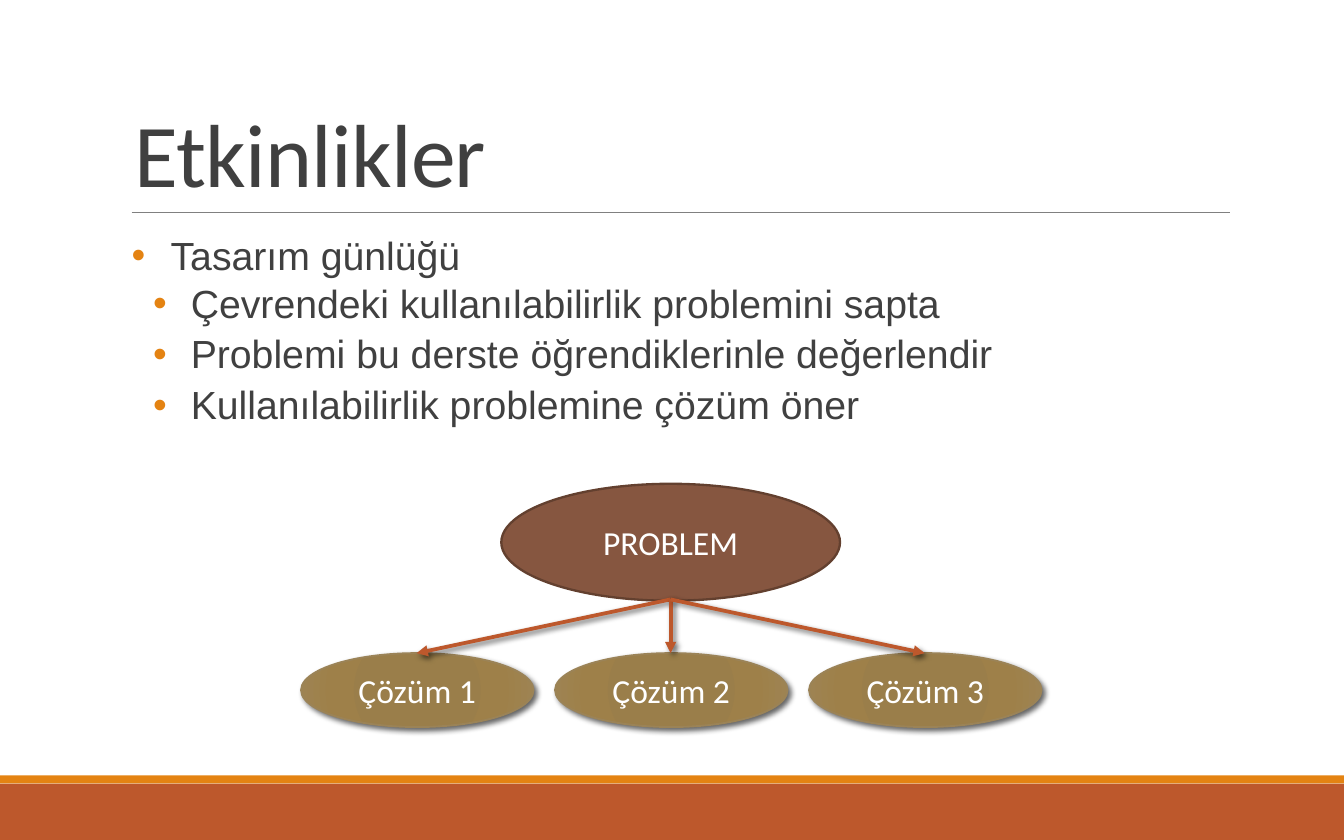
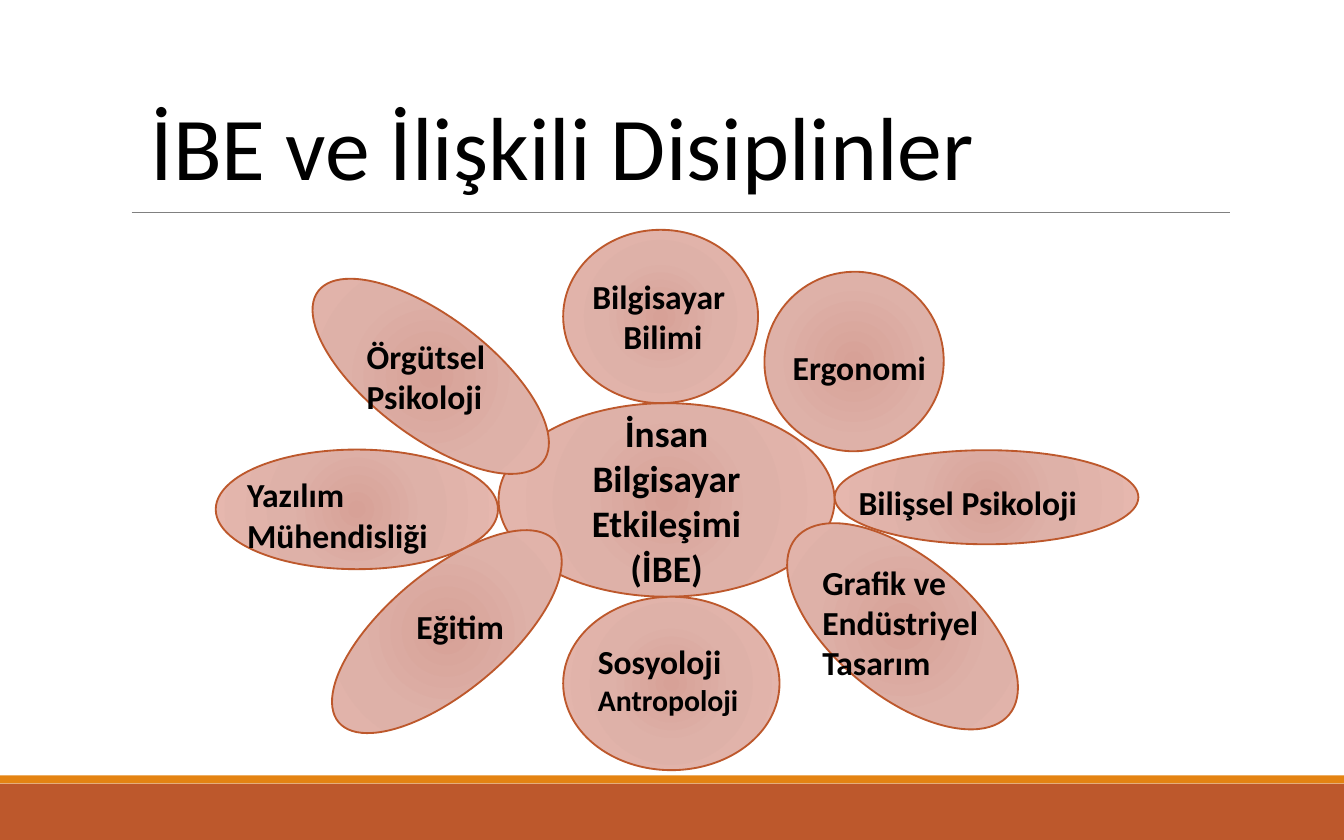
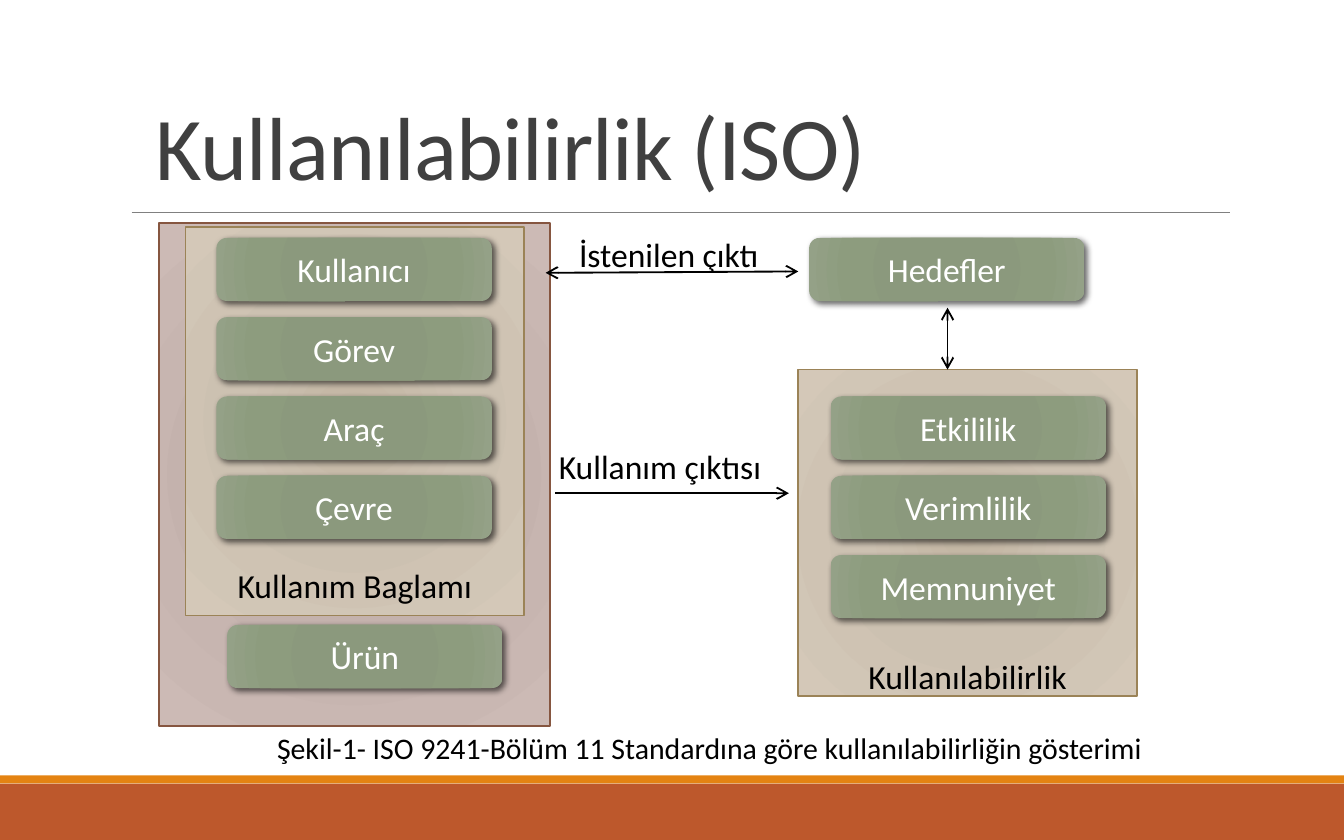
from lxml.etree import SubElement
from pptx import Presentation
from pptx.dml.color import RGBColor as RGB
from pptx.enum.shapes import MSO_CONNECTOR as LINK, MSO_SHAPE as SHAPE
from pptx.enum.text import MSO_ANCHOR as ANCHOR, MSO_AUTO_SIZE as SIZE, PP_ALIGN as ALIGN
from pptx.oxml.ns import qn
from pptx.util import Pt

PX = 9144  # 100 px to the inch
FONT = "Calibri"

# Colours
BLACK, WHITE = RGB(0, 0, 0), RGB(255, 255, 255)
INK, GRAY = RGB(0x40, 0x40, 0x40), RGB(0x80, 0x80, 0x80)
RUST, AMBER = RGB(0xBD, 0x58, 0x2C), RGB(0xE4, 0x83, 0x12)
BROWN, DARK = RGB(0x86, 0x56, 0x40), RGB(0x63, 0x40, 0x2F)
KHAKI = RGB(0x9B, 0x83, 0x57)


def blend(stops, *codes):
    return [(at, RGB.from_string(code)) for at, code in zip(stops, codes)]


SOFT, DEEP = (0, 45, 100), (0, 34, 70, 100)
ROSE = blend(SOFT, "D7A197", "DEB1A8", "E6B7AE")
MAUVE = blend(SOFT, "B9A49E", "C4B2AD", "CCBAB5")
SAND = blend(SOFT, "C2B5A2", "CCC1B1", "D4C8B8")
GOLD = blend(DEEP, "9A7D48", "9A7E4A", "9E8049", "9E8454")
SAGE = blend(DEEP, "8A987B", "8B997D", "8D9C7E", "94A187")

# Slide 1: tasks and the problem tree
TASKS = [
    (0, "Tasarım günlüğü"),
    (1, "Çevrendeki kullanılabilirlik problemini sapta"),
    (1, "Problemi bu derste öğrendiklerinle değerlendir"),
    (1, "Kullanılabilirlik problemine çözüm öner"),
]
# margin, hang, space before, space after
LEVELS = [(29, 29, 0, 1.5), (44, 28, 1.5, 3)]
ANSWERS = ["Çözüm 1", "Çözüm 2", "Çözüm 3"]

# Slide 2: petals (box, turn) and their labels (box, lines of text, size, indent)
CORE = "İnsan Bilgisayar Etkileşimi (İBE)"
PETALS = [
    ((419, 171, 145, 129), 0),
    ((419, 444, 161, 129), 0),
    ((569, 202, 133, 134), 40.2),
    ((699, 257, 70, 226), 90),
    ((620, 363, 103, 206), 129.6),
    ((276, 175, 89, 210), 307.1),
    ((221, 274, 89, 210), 90),
    ((288, 365, 89, 210), 50.1),
]
LABELS = [
    ((431, 200, 157, 81), [("Bilgisayar", 18, 0), ("Bilimi", 18, 23)]),
    ((580, 253, 144, 57), [("Ergonomi", 18, 0)]),
    ((629, 354, 224, 57), [("Bilişsel Psikoloji", 18, 0)]),
    ((602, 413, 170, 105),
     [("Grafik ve", 18, 0), ("Endüstriyel", 18, 0), ("Tasarım", 18, 0)]),
    ((435, 472, 126, 98), [("Sosyoloji", 18, 0), ("Antropoloji", 16, 0)]),
    ((300, 446, 100, 57), [("Eğitim", 18, 0)]),
    ((174, 348, 184, 81), [("Yazılım", 18, 0), ("Mühendisliği", 18, 0)]),
    ((263, 245, 139, 81), [("Örgütsel", 18, 0), ("Psikoloji", 18, 0)]),
]

# Slide 3: panels (box, fill, line, text, bottom inset), card stacks, arrows, notes
PANELS = [
    ((118, 166, 291, 374), MAUVE, BROWN, "", 0),
    ((138, 169, 252, 289), SAND, KHAKI, "Kullanım Baglamı", 8),
    ((594, 275, 252, 243), SAND, KHAKI, "Kullanılabilirlik", 0),
]
STACKS = [
    (161, 177, ["Kullanıcı", "Görev", "Araç", "Çevre"]),
    (169, 465, ["Ürün"]),
    (602, 177, ["Hedefler"]),
    (618, 295, ["Etkililik", "Verimlilik", "Memnuniyet"]),
]
ARROWS = [
    ((406, 203), (594, 202), "arrow"),
    ((705, 229), (705, 275), "arrow"),
    ((413, 367), (587, 367), None),
]
NOTES = [
    ((421, 169, 165, 40), "İstenilen çıktı"),
    ((406, 327, 173, 40), "Kullanım çıktısı"),
]
CAPTION = "Şekil-1- ISO 9241-Bölüm 11 Standardına göre kullanılabilirliğin gösterimi"


# Helpers
def px(*nums):
    return [round(n * PX) for n in nums]


def tag(node, name, **attrs):
    return SubElement(node, qn("a:" + name), {k: str(v) for k, v in attrs.items()})


def tint(node, color):
    return tag(node, "srgbClr", val=color)


def shade(item, blur):
    """Set the effect list: empty, or a soft shadow."""
    fx = tag(item.element.spPr, "effectLst")
    if blur:
        cast = tag(fx, "outerShdw", blurRad=Pt(blur), dist=Pt(2), dir=45 * 60000,
                   algn="tl", rotWithShape=0)
        tag(tint(cast, BLACK), "alpha", val=60000)


def paint(shape, stops):
    """Fill from the centre outwards."""
    props = shape.element.spPr
    grad = tag(props, "gradFill", rotWithShape=1)
    row = tag(grad, "gsLst")
    for at, color in stops:
        tint(tag(row, "gs", pos=at * 1000), color)
    ring = tag(grad, "path", path="circle")
    tag(ring, "fillToRect", l=100000, t=100000, r=100000, b=100000)
    props.insert(2, grad)


def add_run(para, text, size, color, bold=False, font=FONT):
    run = para.add_run()
    run.text = text
    face = run.font
    face.name, face.size, face.bold = font, Pt(size), bold
    face.color.rgb = color
    return run


def next_para(frame, first):
    return frame.paragraphs[0] if first else frame.add_paragraph()


def add_form(slide, kind, box, fill, line=None, width=1, text="", size=18,
             color=WHITE, bold=False, blur=0):
    form = slide.shapes.add_shape(kind, *px(*box))
    if isinstance(fill, list):
        paint(form, fill)
    else:
        form.fill.solid()
        form.fill.fore_color.rgb = fill
    if line is None:
        form.line.fill.background()
    else:
        form.line.color.rgb = line
        form.line.width = Pt(width)
    shade(form, blur)
    if text:
        frame = form.text_frame
        frame.word_wrap = True
        frame.vertical_anchor = ANCHOR.MIDDLE
        para = frame.paragraphs[0]
        para.alignment = ALIGN.CENTER
        add_run(para, text, size, color, bold)
    return form


def add_line(slide, start, end, color, width, head=None, tail=None, blur=0):
    link = slide.shapes.add_connector(LINK.STRAIGHT, *px(*start, *end))
    link.line.color.rgb = color
    link.line.width = Pt(width)
    edge = link.element.spPr.find(qn("a:ln"))
    for name, kind in (("headEnd", head), ("tailEnd", tail)):
        if kind:
            tag(edge, name, type=kind)
    shade(link, blur)
    return link


def add_box(slide, box, wrap=True, grow=True):
    frame = slide.shapes.add_textbox(*px(*box)).text_frame
    frame.word_wrap = wrap
    frame.auto_size = SIZE.SHAPE_TO_FIT_TEXT if grow else SIZE.NONE
    return frame


def add_page(deck, title, box, color=INK, anchor=ANCHOR.BOTTOM, lead=0.85, spc=-40):
    slide = deck.slides.add_slide(deck.slide_layouts[5])
    head = slide.shapes.title
    head.left, head.top, head.width, head.height = px(*box)
    frame = head.text_frame
    frame.word_wrap, frame.auto_size = True, SIZE.NONE
    frame.vertical_anchor = anchor
    para = frame.paragraphs[0]
    para.alignment, para.line_spacing = ALIGN.LEFT, lead
    run = add_run(para, title, 48, color)
    run.font.element.set("spc", str(spc)) if hasattr(run.font, "element") else \
        run._r.get_or_add_rPr().set("spc", str(spc))
    return slide


def share_frame(deck, slide):
    """Draw the bands and the title rule once, then move them to the layout."""
    parts = [
        add_form(slide, SHAPE.RECTANGLE, (0, 583, 1000, 42), RUST),
        add_form(slide, SHAPE.RECTANGLE, (0, 577, 1000, 6), AMBER),
        add_line(slide, (98, 158), (915, 158), GRAY, 0.5),
    ]
    tree = deck.slide_layouts[5].shapes.element if hasattr(
        deck.slide_layouts[5].shapes, "element") else deck.slide_layouts[5].element.cSld.spTree
    for num, part in enumerate(parts, 101):
        part.element.xpath(".//p:cNvPr")[0].set("id", str(num))
        tree.append(part.element)


# Slides
def draw_tasks(deck):
    slide = add_page(deck, "Etkinlikler", (90, 26, 825, 132))
    share_frame(deck, slide)
    frame = add_box(slide, (98, 171, 860, 386), grow=False)
    frame.margin_left = frame.margin_right = 0
    for i, (level, text) in enumerate(TASKS):
        margin, hang, above, below = LEVELS[level]
        para = next_para(frame, i == 0)
        para.level, para.line_spacing = level, 0.9
        para.space_before, para.space_after = Pt(above), Pt(below)
        props = para._p.get_or_add_pPr()
        props.set("marL", str(margin * PX))
        props.set("indent", str(-hang * PX))
        tint(tag(props, "buClr"), AMBER)
        tag(props, "buFont", typeface="Arial")
        tag(props, "buChar", char="•")
        add_run(para, text, 21, INK, font="Arial")

    add_form(slide, SHAPE.OVAL, (373, 360, 252, 87), BROWN, DARK, 1.25, "PROBLEM")
    wide, top, step = 173, 486, 189
    lefts = [224 + i * step for i in range(len(ANSWERS))]
    for left, text in zip(lefts, ANSWERS):
        add_form(slide, SHAPE.OVAL, (left, top, wide, 55), GOLD, KHAKI, 1, text, blur=3)
    for left in lefts:
        add_line(slide, (499, 446), (left + wide // 2, top), RUST, 2,
                 tail="triangle", blur=3)


def draw_fields(deck):
    slide = add_page(deck, "İBE ve İlişkili Disiplinler", (102, 63, 811, 91),
                     BLACK, ANCHOR.TOP, 1.0, 0)
    add_form(slide, SHAPE.OVAL, (371, 300, 250, 144), ROSE, RUST, 1, CORE, 20, BLACK, True)
    for box, turn in PETALS:
        add_form(slide, SHAPE.OVAL, box, ROSE, RUST).rotation = turn
    for box, lines in LABELS:
        frame = add_box(slide, box, wrap=False)
        for i, (text, size, inset) in enumerate(lines):
            para = next_para(frame, i == 0)
            if inset:
                para._p.get_or_add_pPr().set("marL", str(inset * PX))
            add_run(para, text, size, BLACK, True)


def draw_usage(deck):
    slide = add_page(deck, "Kullanılabilirlik (ISO)", (106, 94, 827, 59))
    for box, fill, line, text, inset in PANELS:
        frame = add_form(slide, SHAPE.RECTANGLE, box, fill, line, 1, text,
                         color=BLACK).text_frame
        frame.vertical_anchor = ANCHOR.BOTTOM
        frame.margin_bottom = inset * PX
    for left, top, names in STACKS:
        for i, name in enumerate(names):
            add_form(slide, SHAPE.ROUNDED_RECTANGLE, (left, top + 59 * i, 205, 47),
                     SAGE, text=name, blur=3.5)
    for start, end, head in ARROWS:
        add_line(slide, start, end, BLACK, 1, head, "arrow")
    for box, text in NOTES:
        add_run(add_box(slide, box).paragraphs[0], text, 18, BLACK)
    frame = add_box(slide, (162, 538, 732, 37))
    frame.vertical_anchor = ANCHOR.MIDDLE
    frame.paragraphs[0].alignment = ALIGN.CENTER
    add_run(frame.paragraphs[0], CAPTION, 16, BLACK)


def main():
    deck = Presentation()
    deck.slide_width, deck.slide_height = px(1000, 625)
    draw_tasks(deck)
    draw_fields(deck)
    draw_usage(deck)
    deck.save("out.pptx")


if __name__ == "__main__":
    main()
